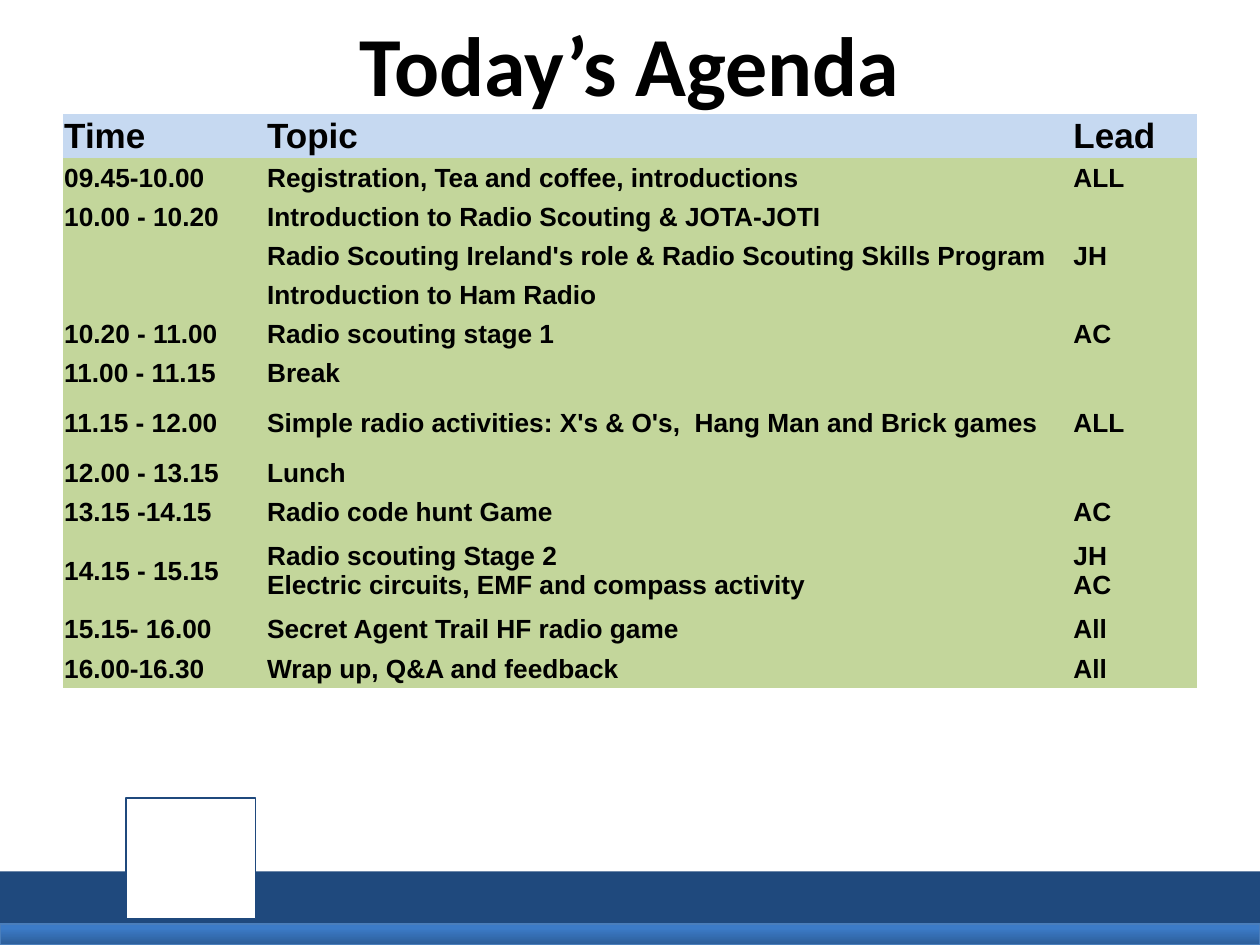
import pptx
import pptx.util
import pptx.dml.color
import pptx.enum.dml
import pptx.enum.shapes
import pptx.enum.text

# Grid of 100 columns by 90 rows over a 10 by 7.5 inch page
COL = pptx.util.Inches(10) // 100
ROW = pptx.util.Inches(7.5) // 90

HUES = {
    "ink": "000000", "white": "FFFFFF", "navy": "1F497D",
    "edge": "4A7EBB", "light": "3C7BC7", "deep": "2C5D98",
    "head": "C6D9F1", "body": "C3D69B",
}
PLAIN = "{2D5ABB26-0587-4C30-8999-92F81FD0307C}"  # no style, no borders
MIDDLE = pptx.enum.text.MSO_ANCHOR.MIDDLE

FONTS = {
    "title": {"name": "Calibri", "size": pptx.util.Pt(48), "bold": True},
    "head": {"name": "Arial", "size": pptx.util.Pt(20), "bold": True},
    "body": {"name": "Arial", "size": pptx.util.Pt(15), "bold": True},
}
INSETS = {
    "margin_left": pptx.util.Inches(0.01),
    "margin_right": pptx.util.Inches(0.01),
    "margin_top": pptx.util.Inches(0.01),
    "margin_bottom": 0,
    "vertical_anchor": MIDDLE,
}

# Column widths and row heights in grid units
WIDTHS = [16.1, 64, 9.9]
HIGH = 3.73
TALL = {7: 5.75, 10: 2 * HIGH}

AGENDA = [
    ("Time", "Topic", "Lead"),
    ("09.45-10.00", "Registration, Tea and coffee, introductions", "ALL"),
    ("10.00 - 10.20", "Introduction to Radio Scouting & JOTA-JOTI", "JH"),
    ("", "Radio Scouting Ireland's role & Radio Scouting Skills Program", ""),
    ("", "Introduction to Ham Radio", ""),
    ("10.20 - 11.00", "Radio scouting stage 1", "AC"),
    ("11.00 - 11.15", "Break", ""),
    ("11.15 - 12.00",
     "Simple radio activities: X's & O's,  Hang Man and Brick games", "ALL"),
    ("12.00 - 13.15", "Lunch", ""),
    ("13.15 -14.15", "Radio code hunt Game", "AC"),
    ("14.15 - 15.15",
     "Radio scouting Stage 2\vElectric circuits, EMF and compass activity",
     "JH\vAC"),
    ("15.15- 16.00", "Secret Agent Trail HF radio game", "All"),
    ("16.00-16.30", "Wrap up, Q&A and feedback", "All"),
]


def hue(name):
    return pptx.dml.color.RGBColor.from_string(HUES[name])


def place(box):
    left, top, wide, high = box
    return int(left * COL), int(top * ROW), int(wide * COL), int(high * ROW)


def apply(item, values):
    for key, value in values.items():
        setattr(item, key, value)


def style(para, kind):
    for run in para.runs:
        apply(run.font, FONTS[kind])
        run.font.color.rgb = hue("ink")


def add_rect(slide, box, fill, line=None):
    rect = slide.shapes.add_shape(
        pptx.enum.shapes.MSO_SHAPE.RECTANGLE, *place(box))
    rect.shadow.inherit = False
    rect.fill.solid()
    rect.fill.fore_color.rgb = hue(fill)
    if line:
        rect.line.color.rgb = hue(line)
        rect.line.width = pptx.util.Pt(0.75)
    else:
        rect.line.fill.background()
    return rect


def add_footer(slide, box):
    left, top, wide, high = box
    thin = high * 2 / 7
    # Navy band, then the thin shaded strip below it
    add_rect(slide, (left, top, wide, high - thin), "navy")
    strip = add_rect(
        slide, (left, top + high - thin, wide, thin), "light", "edge")
    strip.fill.gradient()
    strip.fill.gradient_angle = 270
    ends = [(0.2, "light"), (1, "deep")]
    for stop, (spot, name) in zip(strip.fill.gradient_stops, ends):
        stop.position = spot
        stop.color.rgb = hue(name)
    # Badge square standing over the band
    add_rect(slide, (left + wide / 10, top - high, 10.3, 11.5),
             "white", "navy")


def add_title(slide, box):
    frame = slide.shapes.add_textbox(*place(box)).text_frame
    apply(frame, {"word_wrap": True, "vertical_anchor": MIDDLE})
    para = frame.paragraphs[0]
    para.text = "Today’s Agenda"
    para.alignment = pptx.enum.text.PP_ALIGN.CENTER
    style(para, "title")


def add_agenda(slide, box):
    table = slide.shapes.add_table(
        len(AGENDA), len(WIDTHS), *place(box)).table
    apply(table, {"first_row": False, "horz_banding": False})
    table._tbl.tblPr[0].text = PLAIN
    for col, wide in zip(table.columns, WIDTHS):
        col.width = int(wide * COL)
    for i, texts in enumerate(AGENDA):
        table.rows[i].height = int(TALL.get(i, HIGH) * ROW)
        kind = "body" if i else "head"
        for j, text in enumerate(texts):
            cell = table.cell(i, j)
            apply(cell, INSETS)
            cell.fill.solid()
            cell.fill.fore_color.rgb = hue(kind)
            para = cell.text_frame.paragraphs[0]
            if text:
                para.text = text
                style(para, kind)
            else:
                apply(para.font, FONTS[kind])
    # One lead covers the three opening topics
    table.cell(2, 2).merge(table.cell(4, 2))


def main():
    deck = pptx.Presentation()
    deck.slide_width, deck.slide_height = 100 * COL, 90 * ROW
    slide = deck.slides.add_slide(deck.slide_layouts[6])
    add_footer(slide, (0, 83, 100, 7))
    add_title(slide, (5, 0, 90, 12))
    high = HIGH * (len(AGENDA) - len(TALL)) + sum(TALL.values())
    add_agenda(slide, (5, 10.9, sum(WIDTHS), high))
    deck.save("out.pptx")


if __name__ == "__main__":
    main()
